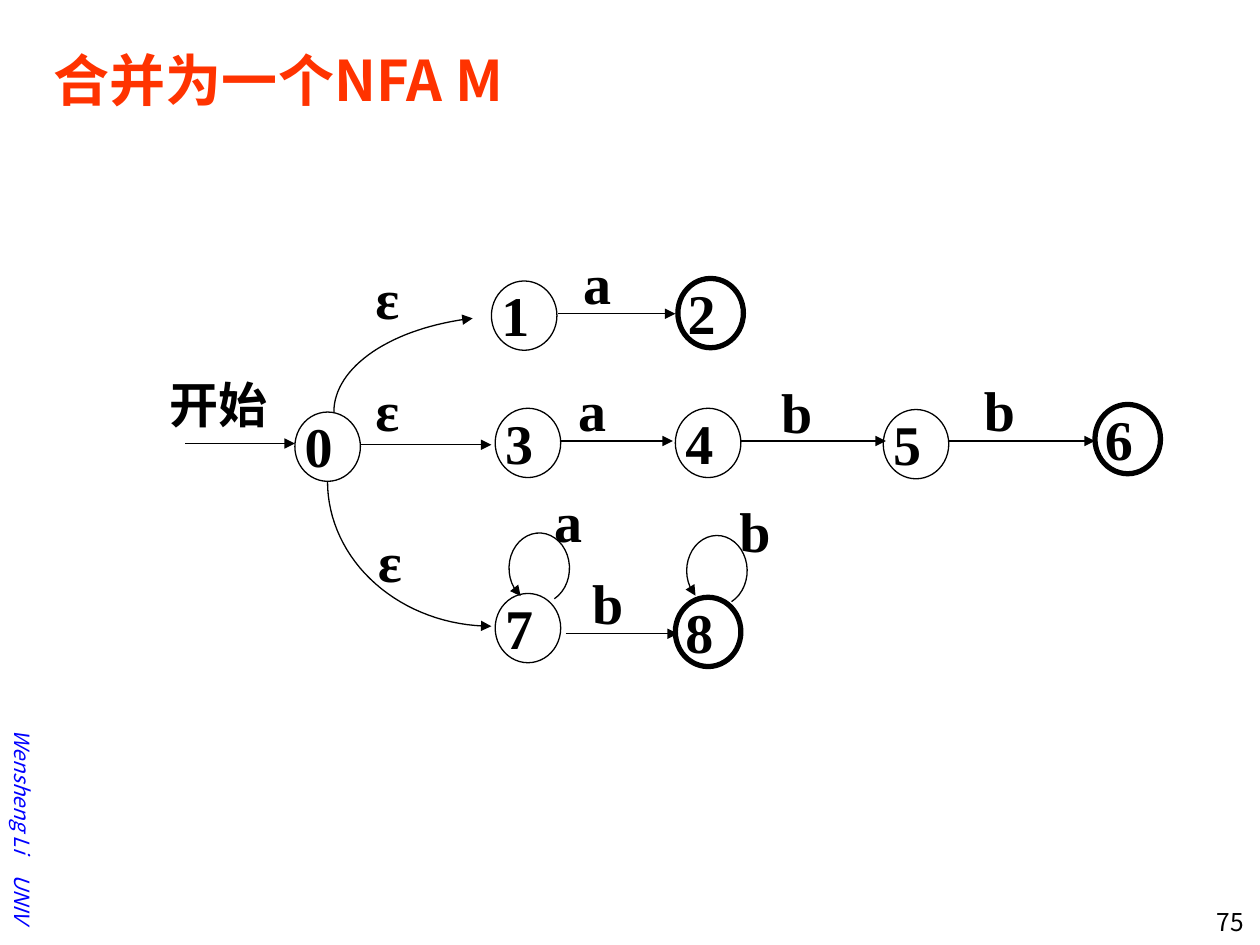
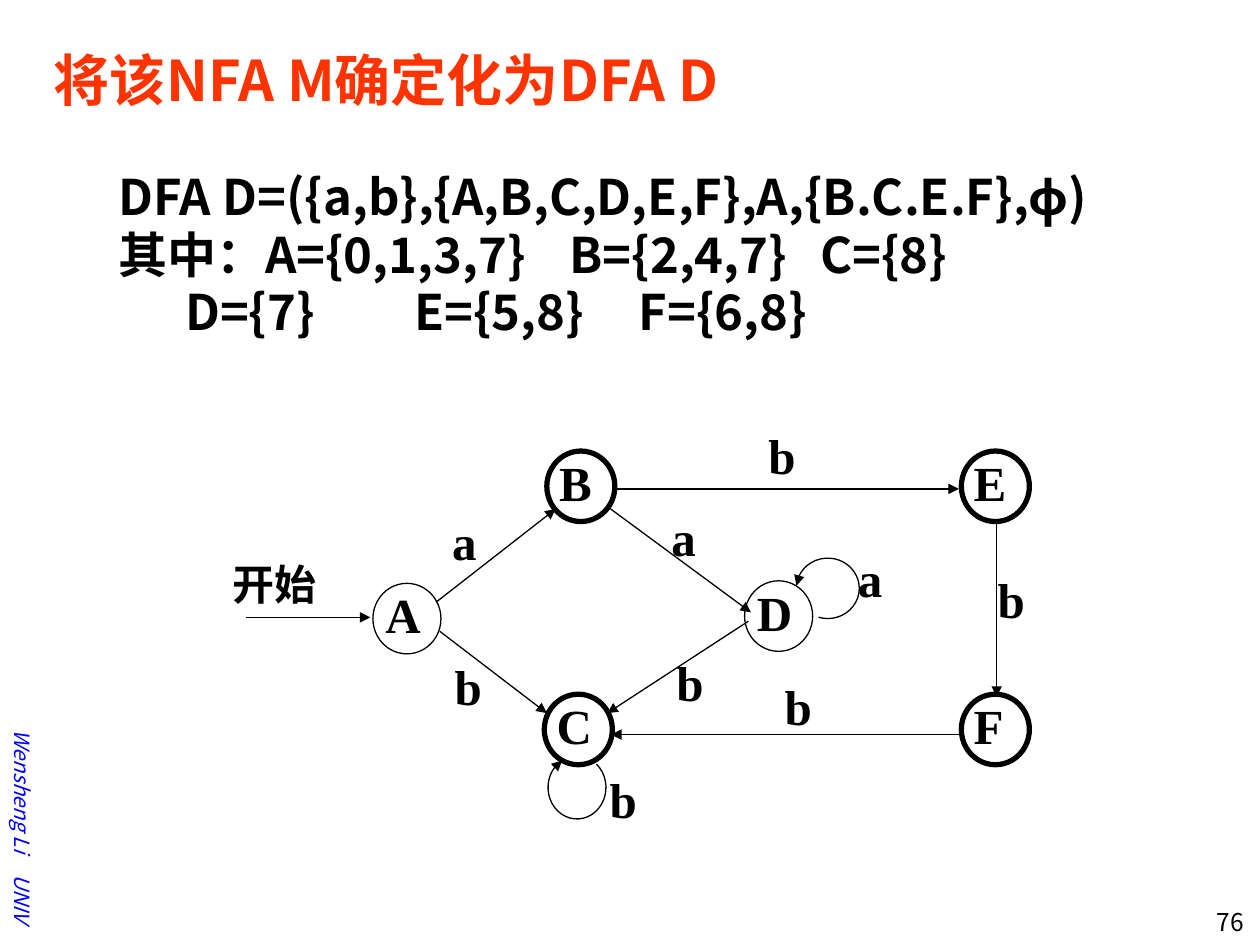
"""Builds two slides that turn an NFA into a DFA."""
from math import cos, radians, sin

from lxml import etree
from pptx import Presentation
from pptx.dml.color import RGBColor
from pptx.enum.shapes import MSO_CONNECTOR, MSO_SHAPE
from pptx.enum.text import MSO_ANCHOR, PP_ALIGN
from pptx.oxml.ns import qn
from pptx.util import Emu, Pt

PX = 9144
BLACK = RGBColor(0x00, 0x00, 0x00)
RED = RGBColor(0xFF, 0x33, 0x00)
BLUE = RGBColor(0x00, 0x00, 0xFF)
SANS = "Noto Sans CJK SC"
SERIF = "Times New Roman"
OVAL = MSO_SHAPE.OVAL
STRAIGHT = MSO_CONNECTOR.STRAIGHT
LEFT, RIGHT = PP_ALIGN.LEFT, PP_ALIGN.RIGHT
TOP, MIDDLE = MSO_ANCHOR.TOP, MSO_ANCHOR.MIDDLE
THIN, THICK = Pt(0.75), Pt(3)


def px(n):
    return Emu(round(n * PX))


class Deck:
    """Holds the style and the current slide."""

    def __init__(self):
        self.prs = Presentation()
        self.prs.slide_width, self.prs.slide_height = px(1000), px(750)

    def slide(self, title, number, label_size, node_size, label_box, label_shift):
        self.s = self.prs.slides.add_slide(self.prs.slide_layouts[6])
        self.label_size = label_size
        self.node_size = node_size
        self.label_box = label_box
        self.label_shift = label_shift
        footer = self.text("Wensheng Li\tUNIV", (-114, 600, 264, 30), 12, SANS, BLUE,
                           bold=False, italic=True, anchor=MIDDLE, inset=96, tabs=[115])
        footer.rotation = 90
        self.text(number, (918, 715, 79, 30), 14, SANS, bold=False, align=RIGHT)
        self.text(title, (33, 17, 942, 92), 32, SANS, RED, anchor=MIDDLE)

    def text(self, text, box, size, font=SERIF, color=BLACK, bold=True, italic=False,
             align=LEFT, anchor=TOP, inset=10, tabs=()):
        sp = self.s.shapes.add_textbox(*map(px, box))
        tf = sp.text_frame
        tf.word_wrap = True
        tf.vertical_anchor = anchor
        tf.margin_left = px(inset)
        tf.text = text
        for p in tf.paragraphs:
            p.alignment = align
            self.tabs(p, tabs)
            for r in p.runs:
                r.font.size = Pt(size)
                r.font.name = font
                r.font.bold = bold
                r.font.italic = italic
                r.font.color.rgb = color
                ea = etree.SubElement(r.font._element, qn("a:ea"))
                ea.set("typeface", SANS)
        return sp

    def tabs(self, p, stops):
        if stops:
            tab_list = etree.SubElement(p._p.get_or_add_pPr(), qn("a:tabLst"))
            for stop in stops:
                etree.SubElement(tab_list, qn("a:tab"), pos=str(px(stop)), algn="l")

    def body(self, lines, box):
        sp = self.text("\n".join(line for line, _ in lines), box, 28, SANS, inset=69)
        for p, (_, stops) in zip(sp.text_frame.paragraphs, lines):
            self.tabs(p, stops)
            p.line_spacing = 0.88
            p.space_before = Pt(3.5)

    def label(self, text, x, y, w=72, h=77):
        self.text(text, (x, y, w, h), self.label_size)

    def start(self, x, y, w, h, size):
        self.text("开始", (x, y, w, h), size)

    def node(self, name, x, y, accepting=False):
        sp = self.s.shapes.add_shape(OVAL, px(x), px(y), *map(px, self.node_size))
        sp.shadow.inherit = False
        sp.fill.background()
        sp.line.color.rgb = BLACK
        sp.line.width = THICK if accepting else THIN
        dx, dy = self.label_shift
        self.label(name, x + dx, y + dy, *self.label_box)

    def arrowhead(self, line):
        line.color.rgb = BLACK
        line.width = THIN
        etree.SubElement(line._get_or_add_ln(), qn("a:tailEnd"), type="triangle")

    def arrow(self, x1, y1, x2, y2):
        c = self.s.shapes.add_connector(STRAIGHT, px(x1), px(y1), px(x2), px(y2))
        self.arrowhead(c.line)
        etree.SubElement(c._element.spPr, qn("a:effectLst"))

    def curve(self, cx, cy, rx, ry, start, end, steps=32):
        angles = [radians(start + (end - start) * i / steps) for i in range(steps + 1)]
        points = [(px(cx + rx * cos(a)), px(cy + ry * sin(a))) for a in angles]
        fb = self.s.shapes.build_freeform(*points[0])
        fb.add_line_segments(points[1:], close=False)
        sp = fb.convert_to_shape()
        sp.shadow.inherit = False
        sp.fill.background()
        self.arrowhead(sp.line)


def nfa_slide(d):
    d.slide("合并为一个NFA M", "75", 32, (52, 55), (59, 65), (-2, -5))
    for name, x, y in [("0", 234, 327), ("1", 390, 223), ("3", 393, 324), ("4", 536, 324),
                       ("5", 701, 325), ("7", 393, 471)]:
        d.node(name, x, y)
    for name, x, y in [("2", 538, 221), ("6", 869, 321), ("8", 536, 474)]:
        d.node(name, x, y, accepting=True)
    for x1, x2, y in [(147, 234, 352), (286, 390, 353), (443, 536, 249), (445, 534, 350),
                      (588, 703, 350), (753, 869, 350), (449, 538, 503)]:
        d.arrow(x1, y, x2, y)
    for curve in [(404, 327, 139, 76, 180, 258), (390, 382, 130, 115, 180, 90),
                  (428, 451, 24, 28, 60, -232), (569, 453, 24, 28, 61, -225)]:
        d.curve(*curve)
    d.start(125, 292, 115, 65, 28)
    for text, x, y in [("ε", 288, 204), ("ε", 288, 293), ("ε", 290, 413), ("a", 453, 192),
                       ("a", 449, 293), ("b", 610, 295), ("b", 771, 293), ("a", 430, 381),
                       ("b", 577, 389), ("b", 460, 446)]:
        d.label(text, x, y)


def dfa_slide(d):
    d.slide("将该NFA M确定化为DFA D", "76", 28, (54, 56), (57, 61), (0, -4))
    d.body([("DFA D=({a,b},{A,B,C,D,E,F},A,{B.C.E.F},ϕ)", []),
            ("其中：A={0,1,3,7}\tB={2,4,7}\tC={8}", [358, 557]),
            ("\tD={7}\tE={5,8}\tF={6,8}", [53, 235, 413])], (25, 133, 950, 172))
    for name, x, y in [("A", 296, 463), ("D", 591, 461)]:
        d.node(name, x, y)
    for name, x, y in [("B", 434, 358), ("C", 432, 551), ("E", 763, 358), ("F", 763, 551)]:
        d.node(name, x, y, accepting=True)
    for arrow in [(195, 490, 294, 490), (346, 478, 441, 404), (349, 501, 434, 566),
                  (489, 388, 761, 388), (482, 402, 596, 486), (594, 493, 482, 566),
                  (791, 413, 791, 553), (761, 583, 485, 583)]:
        d.arrow(*arrow)
    d.curve(657, 467, 25, 24, 107, -175)
    d.curve(458, 625, 23, 25, -48, 239)
    d.start(175, 438, 109, 61, 24)
    for text, x, y in [("a", 349, 401), ("b", 351, 516), ("a", 523, 398), ("b", 527, 513),
                       ("b", 600, 333), ("a", 671, 430), ("b", 613, 532), ("b", 782, 447),
                       ("b", 474, 606)]:
        d.label(text, x, y, 56, 61)


def main():
    d = Deck()
    nfa_slide(d)
    dfa_slide(d)
    d.prs.save("out.pptx")


if __name__ == "__main__":
    main()
